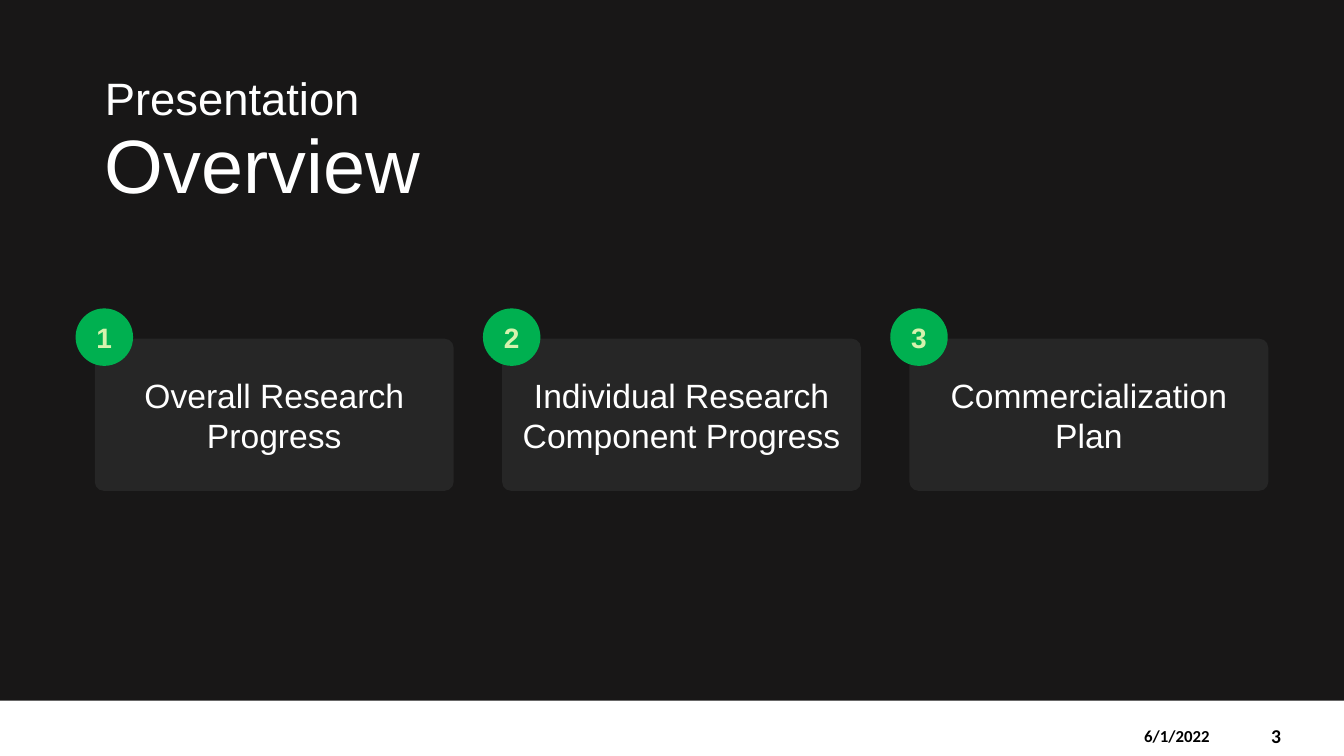
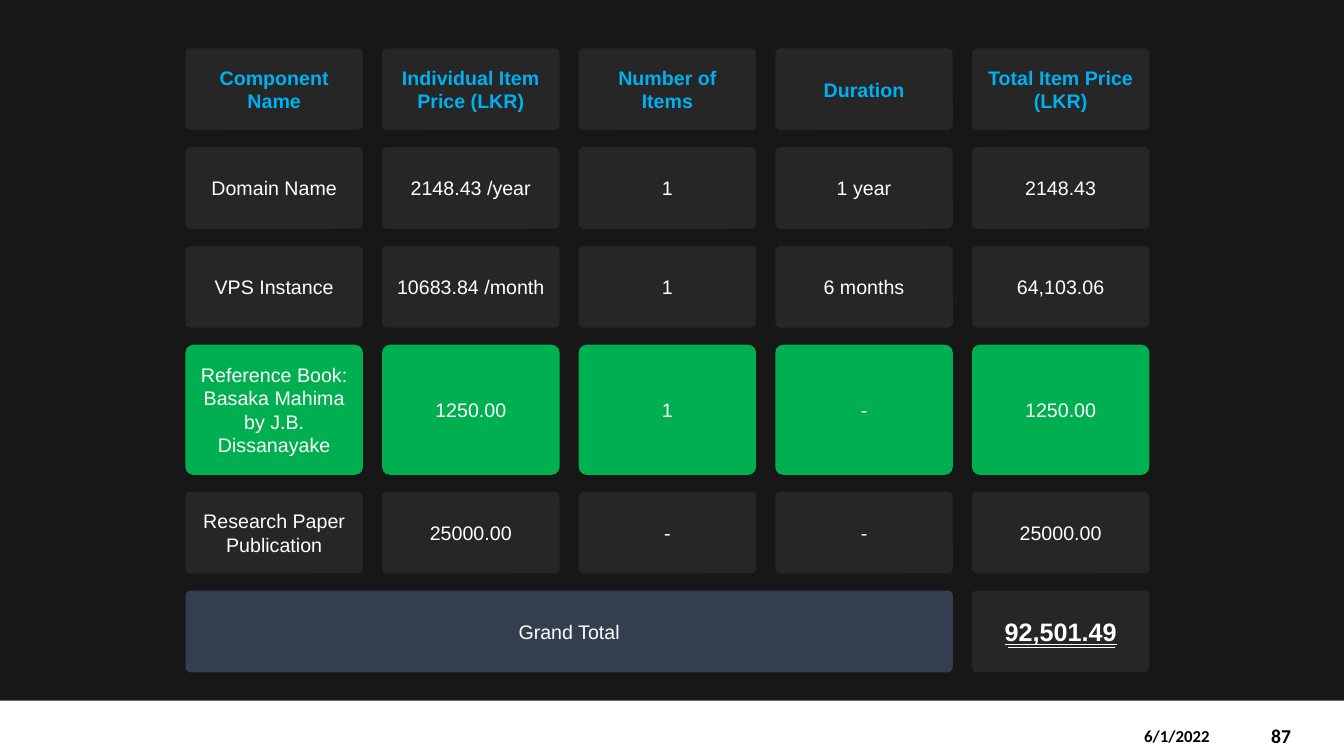
from pptx import Presentation
from pptx.dml.color import RGBColor
from pptx.enum.shapes import MSO_CONNECTOR, MSO_SHAPE
from pptx.enum.text import MSO_ANCHOR, PP_ALIGN
from pptx.oxml.ns import qn
from pptx.util import Inches, Pt
from lxml import etree

RECTANGLE = MSO_SHAPE.RECTANGLE
ROUNDED = MSO_SHAPE.ROUNDED_RECTANGLE
OVAL = MSO_SHAPE.OVAL
STRAIGHT = MSO_CONNECTOR.STRAIGHT
LEFT, CENTER = PP_ALIGN.LEFT, PP_ALIGN.CENTER
TOP, MIDDLE, BOTTOM = MSO_ANCHOR.TOP, MSO_ANCHOR.MIDDLE, MSO_ANCHOR.BOTTOM

BACKGROUND, TILE, SLATE = "181717", "262626", "333F50"
GREEN, PALE_GREEN, BLUE = "00B050", "D6F2AE", "00B0F0"
WHITE, BLACK = "FFFFFF", "000000"
BODY_FONT, FOOTER_FONT = "Arial", "Calibri"
SLIDE_WIDTH, SLIDE_HEIGHT = 13.33, 7.5
TITLE_ONLY_LAYOUT, BLANK_LAYOUT = 5, 6


def set_color(color_format, value):
    """Apply a hex colour to a solid fill, line or font."""
    color_format.rgb = RGBColor.from_string(value)


def style_paragraph(paragraph, size, color=WHITE, bold=False,
                    align=CENTER, font=BODY_FONT):
    paragraph.alignment = align
    for run in paragraph.runs:
        run.font.name = font
        run.font.size = Pt(size)
        run.font.bold = bold
        set_color(run.font.color, color)


def add_box(slide, kind, box, fill):
    shape = slide.shapes.add_shape(kind, *map(Inches, box))
    shape.shadow.inherit = False
    shape.fill.solid()
    set_color(shape.fill.fore_color, fill)
    shape.line.fill.background()
    return shape


def add_tile(slide, box, text, size, fill=TILE, color=WHITE, bold=False):
    """Rounded box with centred text."""
    shape = add_box(slide, ROUNDED, box, fill)
    shape.adjustments[0] = 0.06
    frame = shape.text_frame
    frame.word_wrap = True
    frame.vertical_anchor = MIDDLE
    frame.text = text
    style_paragraph(frame.paragraphs[0], size, color, bold)
    return shape


def add_footer(slide, number):
    """White band with the date and the slide number."""
    band_top = 6.95
    add_box(slide, RECTANGLE,
            (0, band_top, SLIDE_WIDTH, SLIDE_HEIGHT - band_top), WHITE)
    footer_texts = [
        ("6/1/2022", (11.25, band_top + 0.2, 1.17, 0.3), 12, TOP),
        (number, (12.51, band_top + 0.15, 0.74, 0.4), 14, MIDDLE),
    ]
    for text, box, size, anchor in footer_texts:
        frame = slide.shapes.add_textbox(*map(Inches, box)).text_frame
        frame.word_wrap = True
        frame.vertical_anchor = anchor
        frame.text = text
        style_paragraph(frame.paragraphs[0], size, BLACK, True, LEFT, FOOTER_FONT)


def add_title(slide, box, lines):
    """Two-line title: a small first line above a large one."""
    title = slide.shapes.title
    title.left, title.top, title.width, title.height = map(Inches, box)
    frame = title.text_frame
    frame.word_wrap = True
    frame.vertical_anchor = BOTTOM
    frame.text = "\n".join(lines)
    for paragraph, size in zip(frame.paragraphs, (32.4, 54)):
        paragraph.line_spacing = 0.9
        style_paragraph(paragraph, size, align=LEFT)
    frame.paragraphs[1].space_before = Pt(2)


def add_numbered_card(slide, box, number, text):
    """Card with a round number badge over its top left corner."""
    left, top = box[:2]
    add_tile(slide, box, text, 24)
    badge = add_box(slide, OVAL, (left - 0.19, top - 0.3, 0.57, 0.57), GREEN)
    frame = badge.text_frame
    frame.vertical_anchor = MIDDLE
    frame.text = str(number)
    style_paragraph(frame.paragraphs[0], 20, PALE_GREEN, True)


def add_total_row(slide, left, top, column_width, gap, height):
    """Wide label, then the underlined sum."""
    label_width = 4 * column_width + 3 * gap
    add_tile(slide, (left, top, label_width, height), "Grand Total", 14, SLATE)
    sum_left = left + label_width + gap
    tile = add_tile(slide, (sum_left, top, column_width, height),
                    "92,501.49", 18, bold=True)
    tile.text_frame.paragraphs[0].runs[0].font.underline = True

    # Second underline below the sum
    line_y = Inches(top + 0.56)
    line = slide.shapes.add_connector(
        STRAIGHT, Inches(sum_left + 0.36), line_y,
        Inches(sum_left + 1.42), line_y)
    set_color(line.line.color, WHITE)
    line.line.width = Pt(0.5)
    properties = line.element.find(qn("p:spPr"))
    etree.SubElement(properties, qn("a:effectLst"))


def add_budget(slide, left, top):
    """Grid of tiles: header, cost rows and the total."""
    column_width, column_gap, row_gap = 1.76, 0.19, 0.17
    normal_height, tall_height = 0.81, 1.29
    header = ["Component Name", "Individual Item Price (LKR)",
              "Number of Items", "Duration", "Total Item Price (LKR)"]
    domain = ["Domain Name", "2148.43 /year", "1", "1 year", "2148.43"]
    server = ["VPS Instance", "10683.84 /month", "1", "6 months", "64,103.06"]
    book = ["Reference Book: Basaka Mahima by J.B. Dissanayake",
            "1250.00", "1", "-", "1250.00"]
    paper = ["Research Paper Publication", "25000.00", "-", "-", "25000.00"]
    rows = [
        (header, normal_height, TILE, BLUE, True),
        (domain, normal_height, TILE, WHITE, False),
        (server, normal_height, TILE, WHITE, False),
        (book, tall_height, GREEN, WHITE, False),
        (paper, normal_height, TILE, WHITE, False),
    ]
    for texts, height, fill, color, bold in rows:
        for column, text in enumerate(texts):
            tile_left = left + column * (column_width + column_gap)
            add_tile(slide, (tile_left, top, column_width, height),
                     text, 14, fill, color, bold)
        top += height + row_gap
    add_total_row(slide, left, top, column_width, column_gap, normal_height)


def add_slide(presentation, layout, number):
    slide = presentation.slides.add_slide(presentation.slide_layouts[layout])
    add_footer(slide, number)
    return slide


def build_overview(presentation):
    slide = add_slide(presentation, TITLE_ONLY_LAYOUT, "3")
    add_title(slide, (0.94, 0.62, 11.58, 1.51), ["Presentation", "Overview"])
    topics = ["Overall Research Progress",
              "Individual Research Component Progress",
              "Commercialization Plan"]
    for index, topic in enumerate(topics):
        box = (0.94 + index * 4.04, 3.36, 3.56, 1.51)
        add_numbered_card(slide, box, index + 1, topic)


def build_budget(presentation):
    slide = add_slide(presentation, BLANK_LAYOUT, "87")
    add_budget(slide, 1.84, 0.48)


def main():
    presentation = Presentation()
    presentation.slide_width = Inches(SLIDE_WIDTH)
    presentation.slide_height = Inches(SLIDE_HEIGHT)
    background = presentation.slide_master.background.fill
    background.solid()
    set_color(background.fore_color, BACKGROUND)
    build_overview(presentation)
    build_budget(presentation)
    presentation.save("out.pptx")


if __name__ == "__main__":
    main()
